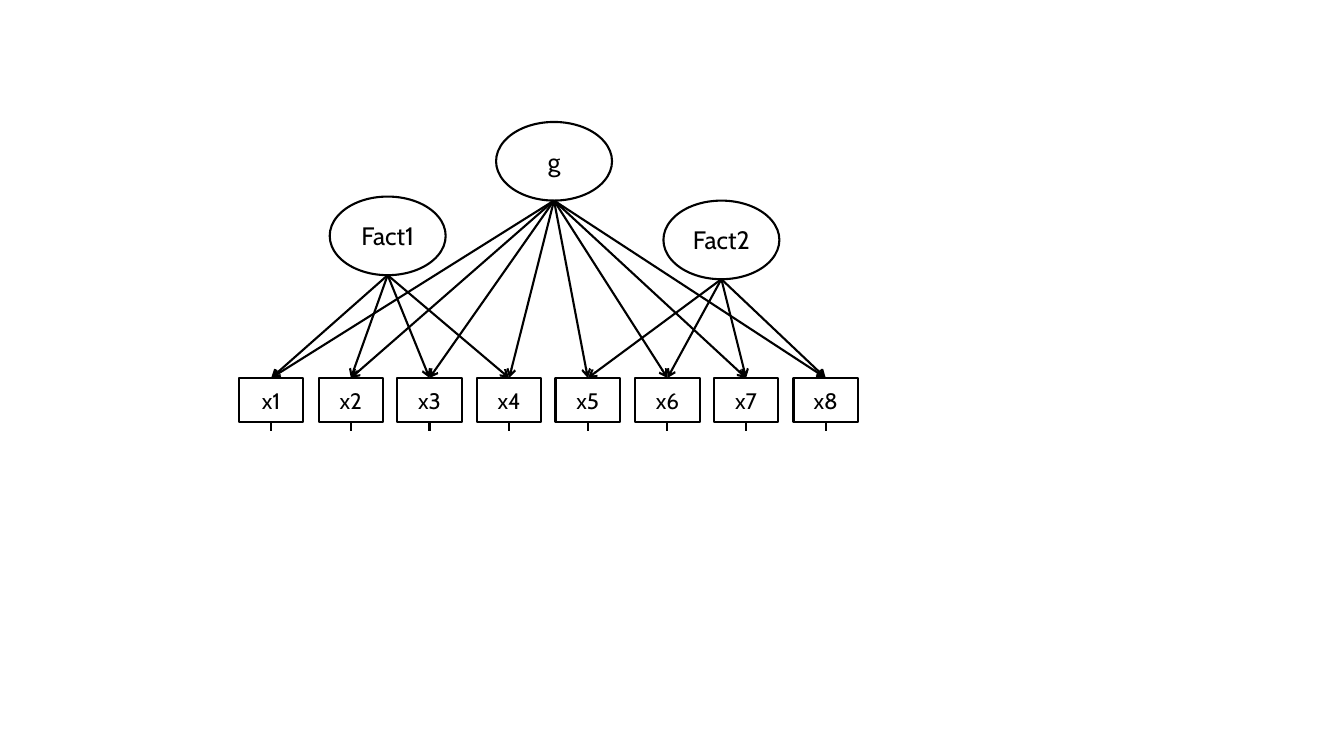
from lxml.etree import SubElement
from pptx import Presentation
from pptx.dml.color import RGBColor
from pptx.enum.shapes import MSO_CONNECTOR, MSO_SHAPE
from pptx.enum.text import MSO_ANCHOR, PP_ALIGN
from pptx.oxml.ns import qn
from pptx.util import Pt

PX = 9144
COLORS = {"ink": "000000", "paper": "FFFFFF"}
FONT = "Cabin"
LINE_WIDTH = Pt(1.5)
FACTOR_WIDTH, FACTOR_HEIGHT = 115, 78
ITEM_WIDTH, ITEM_HEIGHT = 64, 44
TICK_LENGTH = 9


def color(name):
    """Return the named colour."""
    return RGBColor.from_string(COLORS[name])


def add_node(slide, kind, box, label, size):
    """Add an outlined shape with a centred label."""
    shape = slide.shapes.add_shape(kind, *(length * PX for length in box))
    shape.shadow.inherit = False
    shape.fill.solid()
    shape.fill.fore_color.rgb = color("paper")
    shape.line.color.rgb = color("ink")
    shape.line.width = LINE_WIDTH
    frame = shape.text_frame
    frame.word_wrap = True
    frame.vertical_anchor = MSO_ANCHOR.MIDDLE
    frame.margin_left = frame.margin_right = 0
    paragraph = frame.paragraphs[0]
    paragraph.text = label
    paragraph.alignment = PP_ALIGN.CENTER
    paragraph.font.name = FONT
    paragraph.font.size = Pt(size)
    paragraph.font.color.rgb = color("ink")
    return shape


def add_line(slide, start, end, arrow=False):
    """Add a straight line between two points in EMU."""
    connector = slide.shapes.add_connector(MSO_CONNECTOR.STRAIGHT, *start, *end)
    connector.line.color.rgb = color("ink")
    connector.line.width = LINE_WIDTH
    if arrow:
        SubElement(connector.line._get_or_add_ln(), qn("a:tailEnd"), type="arrow")
    SubElement(connector._element.spPr, qn("a:effectLst"))
    return connector


def add_items(slide, left, top, width, count):
    """Spread the observed items over a row, each with a tick below."""
    pitch = (width - ITEM_WIDTH) / (count - 1)
    items = []
    for index in range(count):
        box = (left + round(index * pitch), top, ITEM_WIDTH, ITEM_HEIGHT)
        item = add_node(slide, MSO_SHAPE.RECTANGLE, box, f"x{index + 1}", 16)
        center, bottom = item.left + item.width // 2, item.top + item.height
        tick = add_line(slide, (center, bottom), (center, bottom + TICK_LENGTH * PX))
        tick.begin_connect(item, 2)
        items.append(item)
    return items


def add_factor(slide, left, top, label, items):
    """Add a latent factor with an arrow to each of its items."""
    box = (left, top, FACTOR_WIDTH, FACTOR_HEIGHT)
    factor = add_node(slide, MSO_SHAPE.OVAL, box, label, 18)
    start = (factor.left + factor.width // 2, factor.top + factor.height)
    for item in items:
        end = (item.left + item.width // 2, item.top)
        add_line(slide, start, end, arrow=True).end_connect(item, 0)


def main():
    """Build the bifactor model slide."""
    presentation = Presentation()
    presentation.slide_width, presentation.slide_height = 1333 * PX, 750 * PX
    slide = presentation.slides.add_slide(presentation.slide_layouts[6])
    items = add_items(slide, 237, 375, 614, 8)
    add_factor(slide, 492, 121, "g", items)
    add_factor(slide, 327, 195, "Fact1", items[:4])
    add_factor(slide, 658, 199, "Fact2", items[4:])
    presentation.save("out.pptx")


if __name__ == "__main__":
    main()
